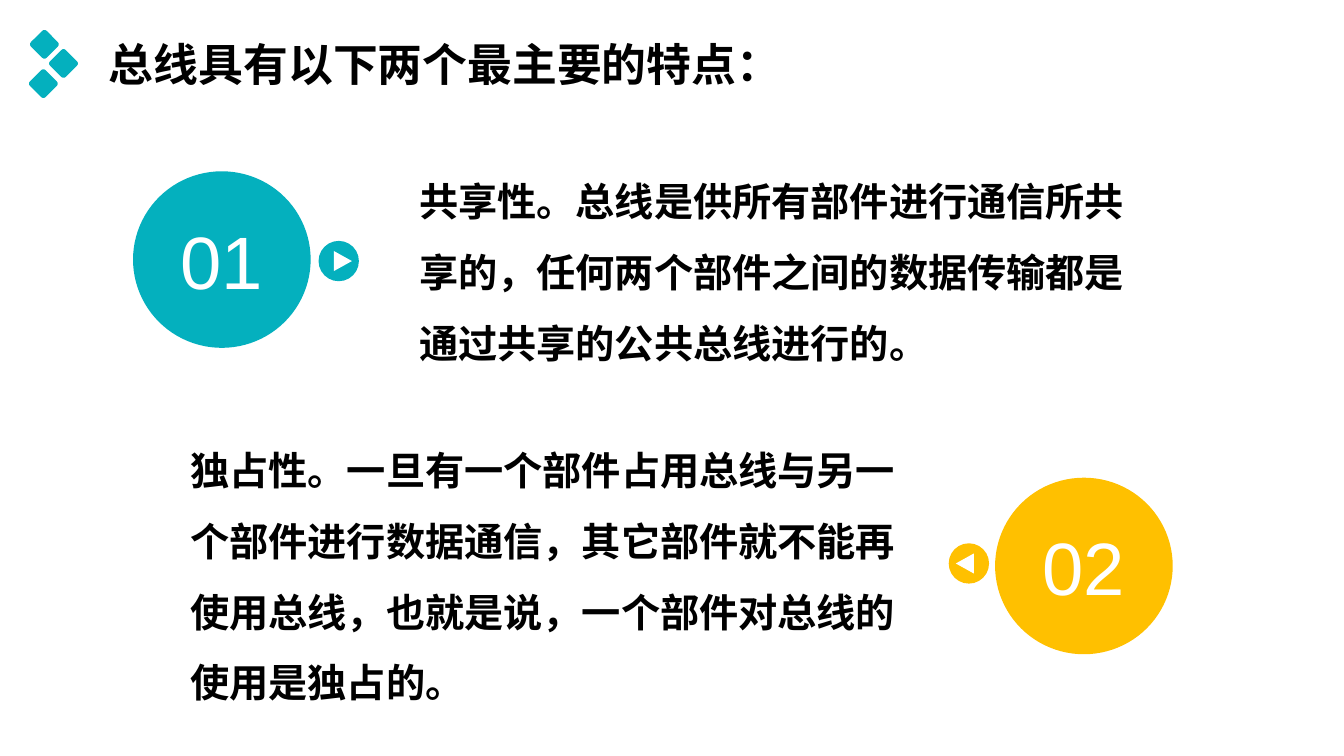
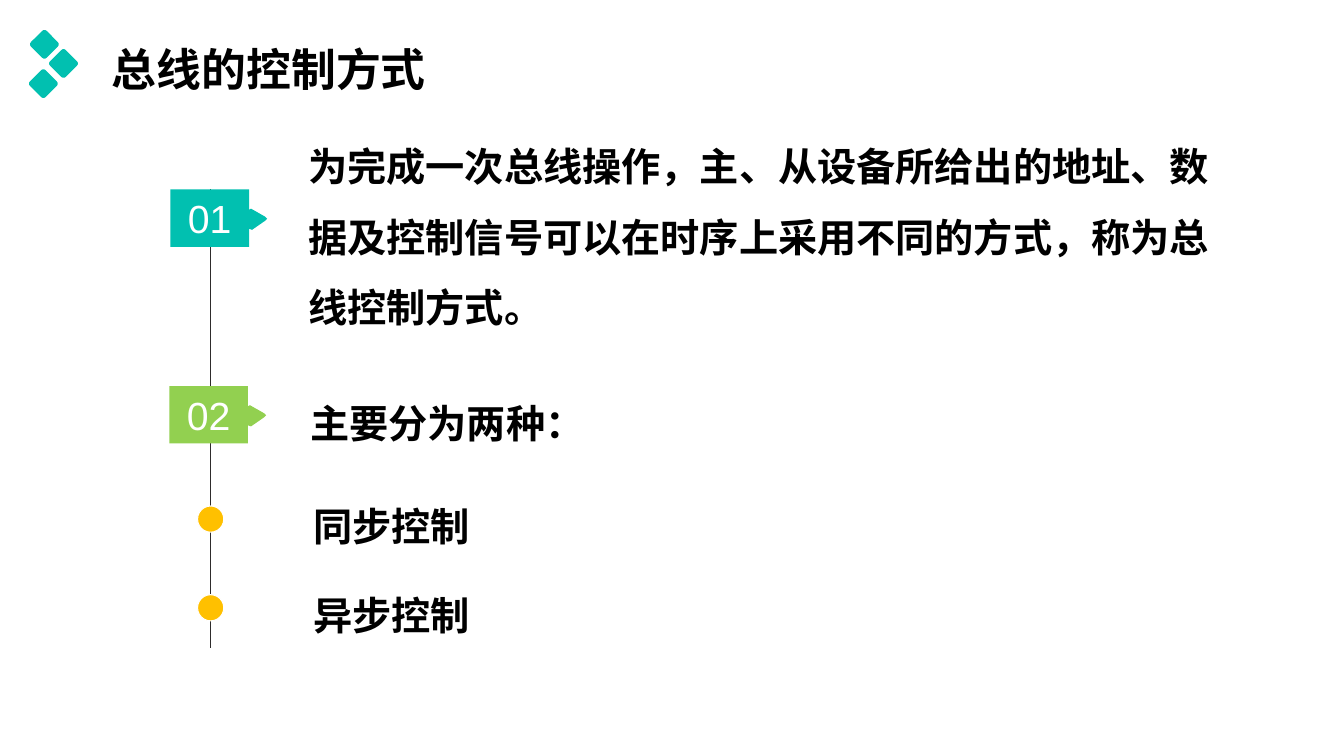
"""Build two slides on the features and control modes of a computer bus."""
from dataclasses import dataclass

from lxml import etree
from pptx import Presentation
from pptx import util as u
from pptx.dml.color import RGBColor
from pptx.enum import shapes, text
from pptx.oxml.ns import qn

PX = 9144
CYAN = RGBColor(0x04, 0xB0, 0xBE)
TEAL = RGBColor(0x01, 0xC0, 0xB0)
AMBER = RGBColor(0xFF, 0xC0, 0x00)
GREEN = RGBColor(0x92, 0xD0, 0x50)
CHARCOAL = RGBColor(0x2E, 0x2C, 0x2C)
BLACK = RGBColor(0x00, 0x00, 0x00)
WHITE = RGBColor(0xFF, 0xFF, 0xFF)
CJK_FONT = "Noto Sans CJK SC"
NUMBER_FONT = "Arial"
KIND = shapes.MSO_SHAPE

DIAMOND_SIDE = 22
DIAMOND_CENTRES = ((44, 44), (63, 63), (43, 83))
POINTER_OUTLINE = ((0, 2), (2, 1), (16, 9), (18, 11), (16, 13), (3, 22), (0, 21))


@dataclass(frozen=True)
class Box:
    left: int
    top: int
    width: int
    height: int

    def emu(self) -> tuple[int, ...]:
        return tuple(n * PX for n in (self.left, self.top, self.width, self.height))


@dataclass(frozen=True)
class Passage:
    wording: str
    box: Box


@dataclass(frozen=True)
class Feature:
    number: str
    colour: RGBColor
    disc: Box
    button: Box
    arrow: Box
    arrow_turn: int
    passage: Passage


@dataclass(frozen=True)
class Step:
    number: str
    colour: RGBColor
    tag: Box
    passage: Passage


FEATURES = (
    Feature("01", CYAN, Box(134, 172, 172, 171), Box(316, 239, 40, 40), Box(330, 250, 20, 18), 90,
            Passage("共享性。总线是供所有部件进行通信所共享的，任何两个部件之间的数据传输都是通过共享的公共总线进行的。",
                    Box(406, 148, 753, 222))),
    Feature("02", AMBER, Box(989, 476, 172, 171), Box(941, 539, 40, 40), Box(947, 550, 20, 18), 270,
            Passage("独占性。一旦有一个部件占用总线与另一个部件进行数据通信，其它部件就不能再使用总线，也就是说，一个部件对总线的使用是独占的。",
                    Box(179, 415, 753, 293))),
)
STEPS = (
    Step("01", TEAL, Box(169, 188, 78, 57),
         Passage("为完成一次总线操作，主、从设备所给出的地址、数据及控制信号可以在时序上采用不同的方式，称为总线控制方式。",
                 Box(296, 113, 929, 222))),
    Step("02", GREEN, Box(168, 383, 78, 57), Passage("主要分为两种：", Box(298, 368, 300, 81))),
)
MODES = ("同步控制", "异步控制")
FIRST_MODE_TOP = 470
MODE_STEP = 88


def write(frame, wording: str, font_name: str, size: int, colour: RGBColor,
          align=text.PP_ALIGN.LEFT, spacing: float = 1.0, bold: bool = False) -> None:
    """Put one formatted paragraph into a text frame."""
    frame.word_wrap = True
    paragraph = frame.paragraphs[0]
    paragraph.text = wording
    paragraph.alignment = align
    paragraph.line_spacing = spacing
    font = paragraph.font
    font.name, font.size, font.bold = font_name, u.Pt(size), bold
    font.color.rgb = colour
    defaults = paragraph._p.pPr.find(qn("a:defRPr"))
    etree.SubElement(defaults, qn("a:ea")).set("typeface", font_name)


def paint(shape, fill: RGBColor, line: RGBColor | None = None, weight: int = 0) -> None:
    """Give a shape a flat fill and an optional outline."""
    shape.shadow.inherit = False
    shape.fill.solid()
    shape.fill.fore_color.rgb = fill
    if line is None:
        shape.line.fill.background()
    else:
        shape.line.color.rgb = line
        shape.line.width = u.Pt(weight)


def add_preset(slide, kind, box: Box, fill: RGBColor,
               line: RGBColor | None = None, weight: int = 0):
    """Add a painted preset shape."""
    shape = slide.shapes.add_shape(kind, *box.emu())
    paint(shape, fill, line, weight)
    return shape


def add_passage(slide, passage: Passage) -> None:
    """Add a bold body passage."""
    frame = slide.shapes.add_textbox(*passage.box.emu()).text_frame
    write(frame, passage.wording, CJK_FONT, 28, BLACK, spacing=1.5, bold=True)


def add_titled_slide(deck, title: str, box: Box, spacing: float, accent: RGBColor):
    """Add a slide with its title and diamond ornament."""
    slide = deck.slides.add_slide(deck.slide_layouts[5])
    heading = slide.shapes.title
    heading.left, heading.top, heading.width, heading.height = box.emu()
    frame = heading.text_frame
    frame.auto_size = text.MSO_AUTO_SIZE.NONE
    frame.vertical_anchor = text.MSO_ANCHOR.TOP
    write(frame, title, CJK_FONT, 32, BLACK, spacing=spacing, bold=True)
    half = DIAMOND_SIDE // 2
    for x, y in DIAMOND_CENTRES:
        diamond = add_preset(slide, KIND.ROUNDED_RECTANGLE,
                             Box(x - half, y - half, DIAMOND_SIDE, DIAMOND_SIDE), accent)
        diamond.adjustments[0] = 0.14
        diamond.rotation = 45
    return slide


def add_feature(slide, feature: Feature) -> None:
    """Add a numbered disc, its arrow button and its passage."""
    disc = add_preset(slide, KIND.OVAL, feature.disc, feature.colour, feature.colour, 3)
    write(disc.text_frame, feature.number, NUMBER_FONT, 53, WHITE, text.PP_ALIGN.CENTER)
    add_preset(slide, KIND.OVAL, feature.button, feature.colour)
    arrow = add_preset(slide, KIND.ISOSCELES_TRIANGLE, feature.arrow, WHITE)
    arrow.rotation = feature.arrow_turn
    add_passage(slide, feature.passage)


def add_step(slide, step: Step) -> None:
    """Add a numbered tag with a pointer and its passage."""
    tag = step.tag
    left, top = tag.left + tag.width, tag.top + 18
    start, *rest = [(left + x, top + y) for x, y in POINTER_OUTLINE]
    builder = slide.shapes.build_freeform(*start, scale=PX)
    builder.add_line_segments(rest, close=True)
    paint(builder.convert_to_shape(), step.colour)
    label = add_preset(slide, KIND.RECTANGLE, tag, step.colour)
    write(label.text_frame, step.number, NUMBER_FONT, 28, WHITE, text.PP_ALIGN.CENTER)
    add_passage(slide, step.passage)


def add_timeline(slide) -> None:
    """Add the vertical line behind the tags and dots."""
    timeline = slide.shapes.add_connector(
        shapes.MSO_CONNECTOR.STRAIGHT, 209 * PX, 188 * PX, 209 * PX, 643 * PX)
    timeline.line.color.rgb = CHARCOAL
    timeline.line.width = u.Pt(1)
    etree.SubElement(timeline._element.spPr, qn("a:effectLst"))


def main() -> None:
    """Build and save the deck."""
    deck = Presentation()
    deck.slide_width, deck.slide_height = u.Inches(13.33), u.Inches(7.5)

    features = add_titled_slide(deck, "总线具有以下两个最主要的特点：", Box(98, 37, 853, 115), 0.9, CYAN)
    for feature in FEATURES:
        add_feature(features, feature)

    control = add_titled_slide(deck, "总线的控制方式", Box(101, 31, 453, 40), 1.1, TEAL)
    add_timeline(control)
    for step in STEPS:
        add_step(control, step)
    for row, mode in enumerate(MODES):
        top = FIRST_MODE_TOP + row * MODE_STEP
        add_preset(control, KIND.OVAL, Box(196, top + 32, 26, 26), AMBER, WHITE)
        add_passage(control, Passage(mode, Box(301, top, 300, 81)))

    deck.save("out.pptx")


if __name__ == "__main__":
    main()
